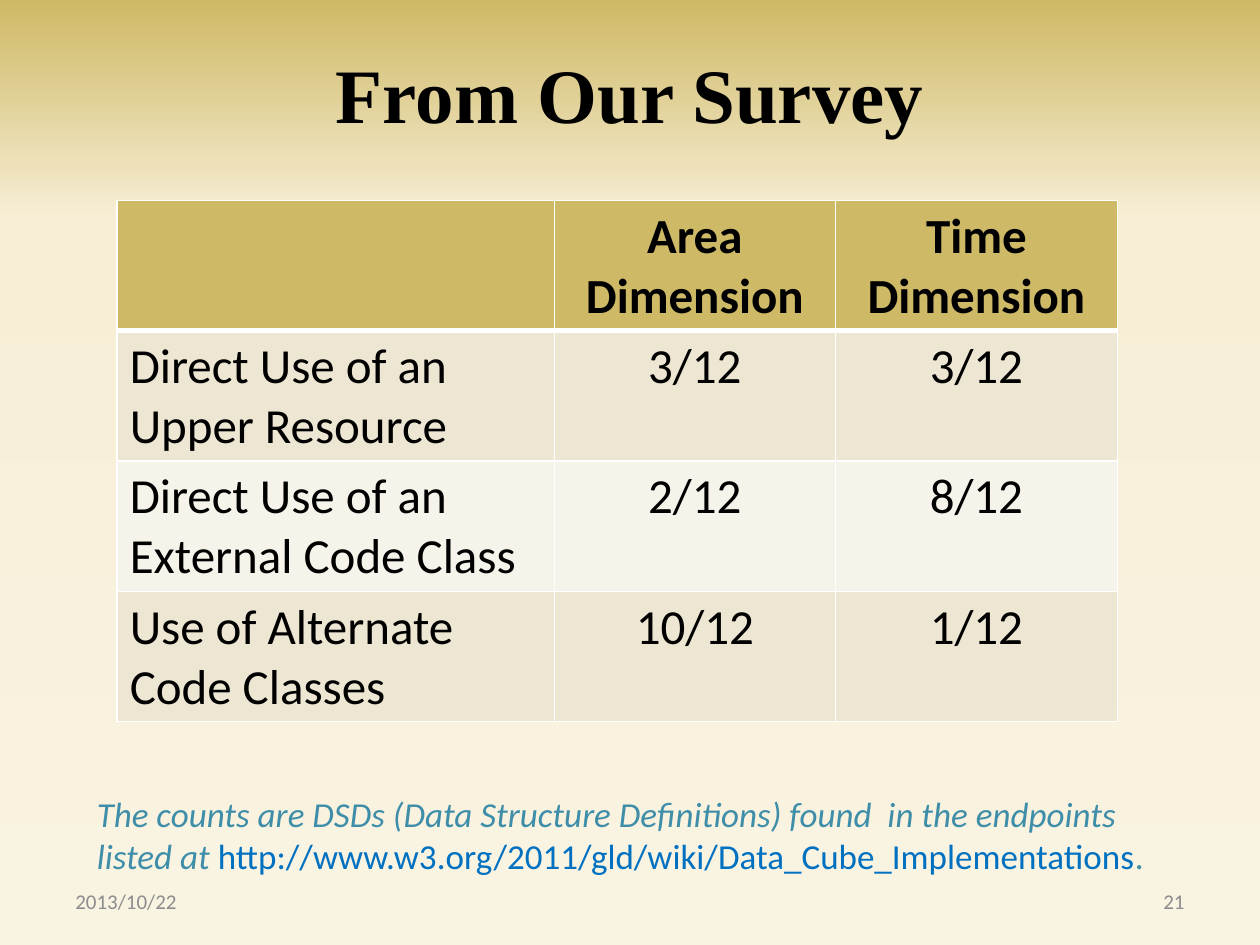
from copy import deepcopy

from pptx import Presentation
from pptx.dml.color import RGBColor
from pptx.enum.text import MSO_ANCHOR as Anchor, PP_ALIGN as Align
from pptx.oxml import parse_xml
from pptx.oxml.ns import nsdecls, qn
from pptx.util import Inches, Pt

GOLD, SAND, PALE = "CEB966", "EDE6D3", "F6F3EA"
BLACK, GRAY, WHITE = "000000", "8C8C8C", "FFFFFF"
TEAL, BLUE = "3E8EA9", "0070C0"


def color(code):
    return RGBColor.from_string(code)


class Deck:
    """Holds the text style and the current slide."""

    def __init__(self, font):
        self.font = font
        self.prs = Presentation()
        self.prs.slide_width, self.prs.slide_height = Inches(10), Inches(7.5)
        self.slide = self.prs.slides.add_slide(self.prs.slide_layouts[6])

    def backdrop(self, stops):
        fill = self.slide.background.fill
        fill.gradient()
        fill.gradient_angle = 270
        group = self.slide.element.find(".//" + qn("a:gsLst"))
        while len(group) < len(stops):
            group.append(deepcopy(group[0]))
        for stop, (place, code) in zip(fill.gradient_stops, stops):
            stop.position = place
            stop.color.rgb = color(code)

    def run(self, para, words, size, code, bold=False, italic=False, font=None):
        run = para.add_run()
        run.text = words
        face = run.font
        face.name, face.size = font or self.font, Pt(size)
        face.bold, face.italic = bold, italic
        face.color.rgb = color(code)

    def text(self, box, runs, align=Align.LEFT, anchor=Anchor.MIDDLE):
        shape = self.slide.shapes.add_textbox(*map(Inches, box))
        frame = shape.text_frame
        frame.word_wrap, frame.vertical_anchor = True, anchor
        para = frame.paragraphs[0]
        para.alignment = align
        for words, style in runs:
            self.run(para, words, **style)

    def border(self, cell, side, width):
        line = parse_xml(
            f'<a:{side} {nsdecls("a")} w="{Pt(width)}"><a:solidFill>'
            f'<a:srgbClr val="{WHITE}"/></a:solidFill></a:{side}>')
        props = cell._tc.get_or_add_tcPr()
        spot = sum(item.tag.startswith(qn("a:ln")) for item in props)
        props.insert(spot, line)

    def table(self, box, rows, widths, size):
        grid = self.slide.shapes.add_table(
            len(rows), len(widths), *map(Inches, box)).table
        for col, width in zip(grid.columns, widths):
            col.width = Inches(width)
        for r, row in enumerate(rows):
            for c, words in enumerate(row):
                cell = grid.cell(r, c)
                cell.fill.solid()
                shade = GOLD if r == 0 else SAND if r % 2 else PALE
                cell.fill.fore_color.rgb = color(shade)
                para = cell.text_frame.paragraphs[0]
                para.alignment = Align.CENTER if c else Align.LEFT
                if words:
                    self.run(para, words, size, BLACK, bold=r == 0)
                for side in ("lnL", "lnR", "lnT", "lnB"):
                    thick = (r, side) in ((0, "lnB"), (1, "lnT"))
                    self.border(cell, side, 3 if thick else 1)


def main():
    deck = Deck("Calibri")
    deck.backdrop([(0, GOLD), (0.23, "F7EED5"), (1, "F9F3E2")])
    head = dict(size=44, code=BLACK, bold=True, font="Times New Roman")
    deck.text((0.5, 0.3, 9, 0.87), [("From Our Survey", head)], Align.CENTER)

    small = dict(size=12, code=GRAY)
    deck.text((0.5, 6.95, 2.33, 0.4), [("2013/10/22", small)])
    deck.text((7.17, 6.95, 2.33, 0.4), [("21", small)], Align.RIGHT)

    rows = [
        ("", "Area Dimension", "Time Dimension"),
        ("Direct Use of an Upper Resource", "3/12", "3/12"),
        ("Direct Use of an External Code Class", "2/12", "8/12"),
        ("Use of Alternate Code Classes", "10/12", "1/12"),
    ]
    deck.table((0.93, 1.59, 7.94, 4.13), rows, (3.47, 2.23, 2.24), 28)

    note = dict(size=20, code=TEAL, italic=True)
    deck.text((0.67, 6.24, 8.67, 0.77), [
        ("The counts are DSDs (Data Structure Definitions) found  in the "
         "endpoints listed at ", note),
        ("http://www.w3.org/2011/gld/wiki/Data_Cube_Implementations",
         dict(size=20, code=BLUE)),
        (".", dict(size=20, code=TEAL)),
    ], anchor=Anchor.TOP)
    deck.prs.save("out.pptx")


if __name__ == "__main__":
    main()
